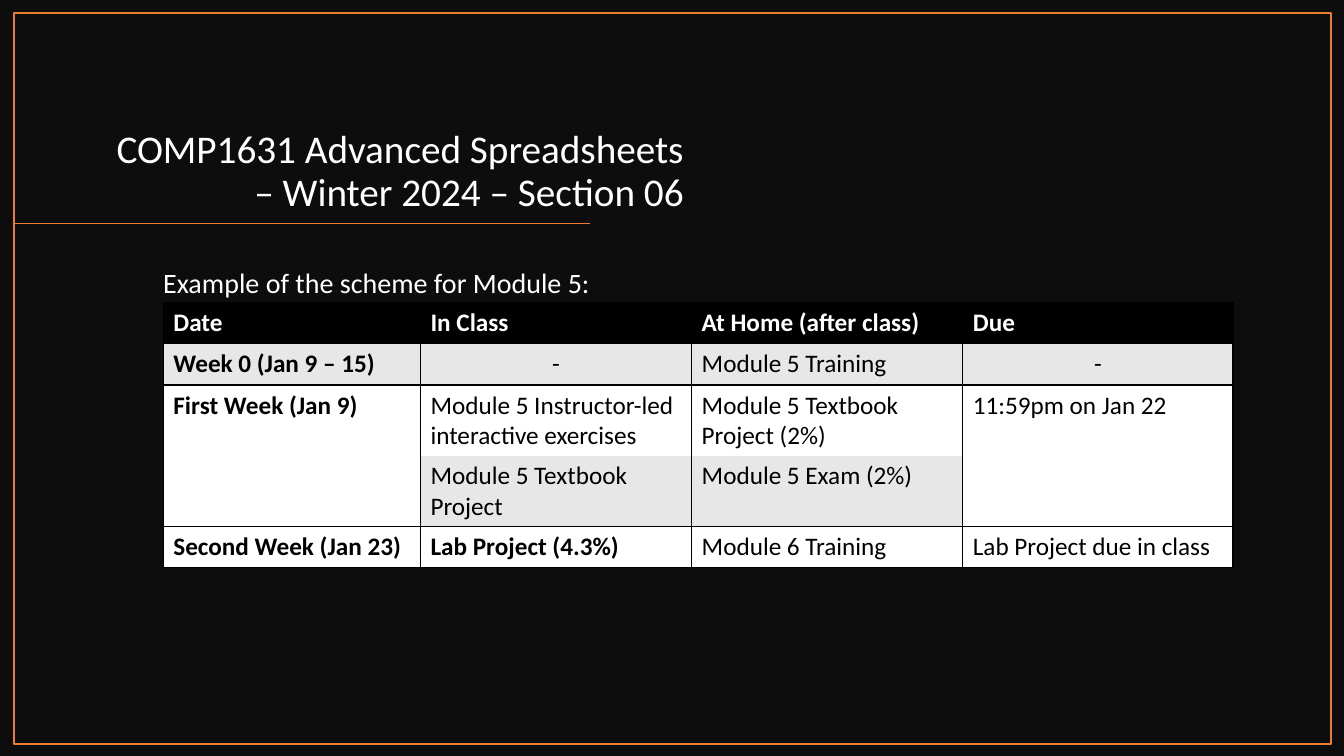
from lxml.etree import SubElement
from pptx import Presentation
from pptx.dml.color import RGBColor
from pptx.enum.shapes import MSO_CONNECTOR, MSO_SHAPE
from pptx.enum.text import MSO_ANCHOR, MSO_AUTO_SIZE, PP_ALIGN
from pptx.oxml import parse_xml
from pptx.oxml.ns import nsdecls, qn
from pptx.util import Inches, Pt

COLORS = {
    "backdrop": "0D0D0D",
    "accent": "ED7D31",
    "white": "FFFFFF",
    "black": "000000",
    "band": "E7E7E7",
}
FONT = "Calibri"
COLUMN_WIDTHS = [2.55, 2.69, 2.69, 2.68]
ROW_HEIGHT = 0.41
ROW_FILLS = ["black", "band", "white", "band", "white"]
SCHEDULE = [
    ["Date", "In Class", "At Home (after class)", "Due"],
    ["Week 0 (Jan 9 – 15)", "-", "Module 5 Training", "-"],
    ["First Week (Jan 9)", "Module 5 Instructor-led interactive exercises",
     "Module 5 Textbook Project (2%)", "11:59pm on Jan 22"],
    ["", "Module 5 Textbook Project", "Module 5 Exam (2%)", ""],
    ["Second Week (Jan 23)", "Lab Project (4.3%)", "Module 6 Training",
     "Lab Project due in class"],
]
MERGED_COLUMNS = (0, 3)
FIRST_WEEK_ROW = 2
BOLD_PROJECT = (4, 1)


def color(name):
    return RGBColor.from_string(COLORS[name])


def write(frame, text, size, color_name, bold=False, **paragraph_format):
    para = frame.paragraphs[0]
    for name, value in paragraph_format.items():
        setattr(para, name, value)
    span = para.add_run()
    span.text = text
    for name, value in {"name": FONT, "size": Pt(size), "bold": bold}.items():
        setattr(span.font, name, value)
    span.font.color.rgb = color(color_name)


def style_line(line):
    line.color.rgb = color("accent")
    line.width = Pt(1)


def place_title(page):
    title = page.shapes.title
    place = {"left": 0.92, "top": 0.73, "width": 5.96, "height": 1.45}
    for name, value in place.items():
        setattr(title, name, Inches(value))
    frame = title.text_frame
    frame.word_wrap = True
    frame.auto_size = MSO_AUTO_SIZE.NONE
    frame.vertical_anchor = MSO_ANCHOR.BOTTOM
    write(frame, "COMP1631 Advanced Spreadsheets – Winter 2024 – Section 06",
          28, "white", alignment=PP_ALIGN.RIGHT, line_spacing=0.9)


def add_title_rule(page):
    rule = page.shapes.add_connector(
        MSO_CONNECTOR.STRAIGHT,
        Inches(5.85), Inches(2.22), Inches(0.14), Inches(2.22))
    style_line(rule.line)
    SubElement(rule.element.spPr, qn("a:effectLst"))


def add_intro(page):
    box = page.shapes.add_textbox(
        Inches(1.52), Inches(2.62), Inches(10.29), Inches(3.86))
    box.text_frame.word_wrap = True
    write(box.text_frame, "Example of the scheme for Module 5:", 20, "white",
          line_spacing=0.9)


def add_border(page):
    border = page.shapes.add_shape(
        MSO_SHAPE.RECTANGLE,
        Inches(0.14), Inches(0.13), Inches(13.06), Inches(7.25))
    border.shadow.inherit = False
    border.fill.background()
    style_line(border.line)


def set_cell_borders(cell, open_side=None):
    """Draw thin black lines on all sides except open_side."""
    properties = cell._tc.get_or_add_tcPr()
    for index, side in enumerate("LRTB"):
        fill = "<a:noFill/>" if side == open_side else (
            f'<a:solidFill><a:srgbClr val="{COLORS["black"]}"/></a:solidFill>')
        properties.insert(index, parse_xml(
            f'<a:ln{side} {nsdecls("a")} w="{Pt(1)}">{fill}</a:ln{side}>'))


def open_side_of(row, column):
    """The two rows of the first week have no line between them."""
    return {FIRST_WEEK_ROW: "B", FIRST_WEEK_ROW + 1: "T"}.get(row)


def fill_cell(cell, row, column):
    text = SCHEDULE[row][column]
    is_header = row == 0
    merged = column in MERGED_COLUMNS
    fill_row = FIRST_WEEK_ROW if merged and row == FIRST_WEEK_ROW + 1 else row
    cell.fill.solid()
    cell.fill.fore_color.rgb = color(ROW_FILLS[fill_row])
    set_cell_borders(cell, None if merged else open_side_of(row, column))
    if text:
        write(cell.text_frame, text, 18, "white" if is_header else "black",
              bold=is_header or column == 0 or (row, column) == BOLD_PROJECT,
              alignment=PP_ALIGN.CENTER if text == "-" else PP_ALIGN.LEFT)


def add_schedule(page):
    rows, columns = len(SCHEDULE), len(COLUMN_WIDTHS)
    table = page.shapes.add_table(
        rows, columns, Inches(1.62), Inches(3),
        Inches(sum(COLUMN_WIDTHS)), Inches(ROW_HEIGHT * rows)).table
    for column, width in zip(table.columns, COLUMN_WIDTHS):
        column.width = Inches(width)
    for row in range(rows):
        for column in range(columns):
            fill_cell(table.cell(row, column), row, column)
    for column in MERGED_COLUMNS:
        table.cell(FIRST_WEEK_ROW, column).merge(
            table.cell(FIRST_WEEK_ROW + 1, column))


def main():
    deck = Presentation()
    deck.slide_width, deck.slide_height = Inches(13.33), Inches(7.5)
    page = deck.slides.add_slide(deck.slide_layouts.get_by_name("Title Only"))
    page.background.fill.solid()
    page.background.fill.fore_color.rgb = color("backdrop")
    place_title(page)
    add_title_rule(page)
    add_intro(page)
    add_border(page)
    add_schedule(page)
    deck.save("out.pptx")


if __name__ == "__main__":
    main()
